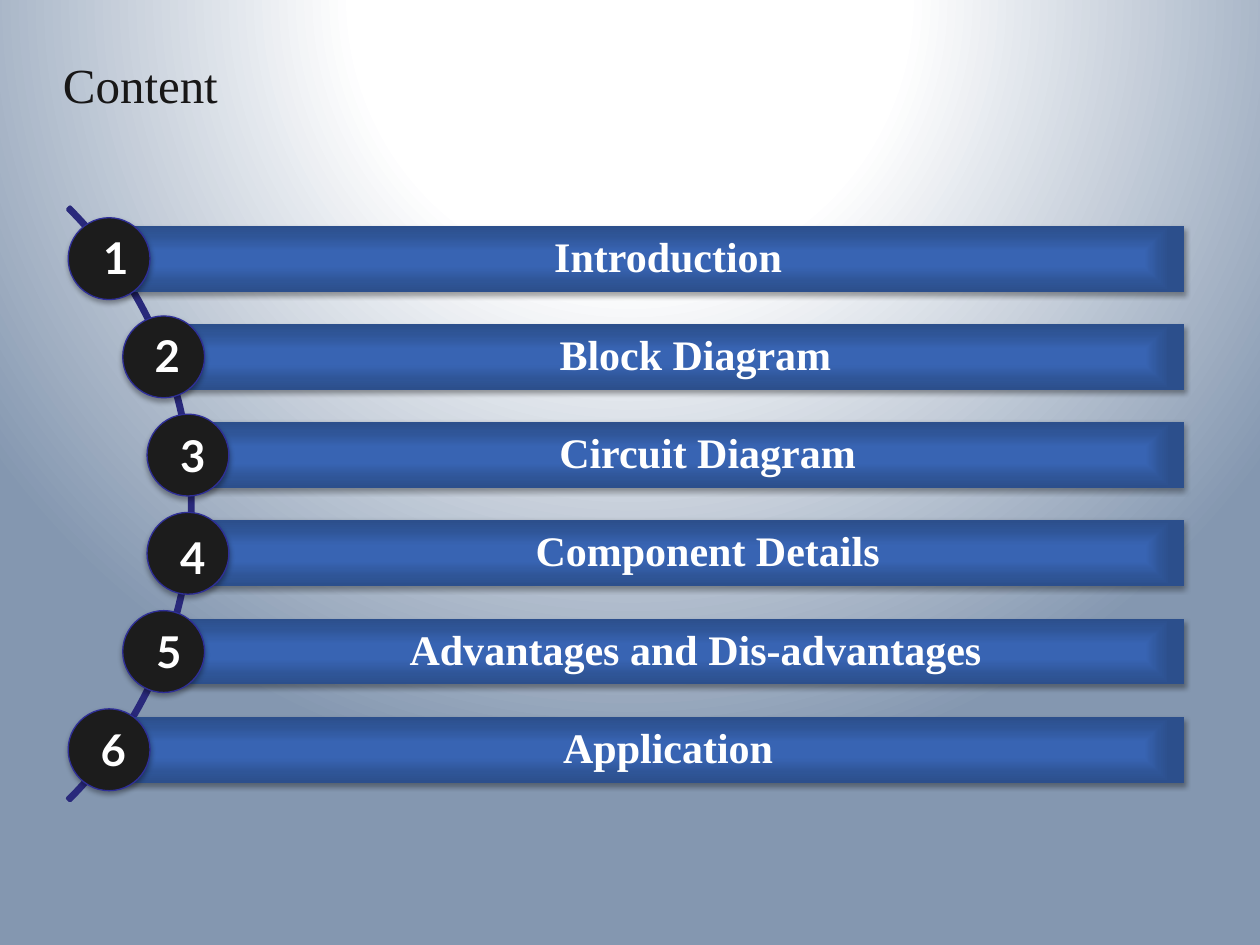
"""Build a contents slide with six numbered bars along an arc."""
from lxml import etree
from pptx import Presentation
from pptx.dml.color import RGBColor
from pptx.enum.shapes import MSO_SHAPE
from pptx.enum.text import MSO_ANCHOR, MSO_AUTO_SIZE, PP_ALIGN
from pptx.oxml import parse_xml
from pptx.oxml.ns import nsdecls, qn
from pptx.util import Cm, Pt

RECTANGLE, OVAL, BLOCK_ARC = MSO_SHAPE.RECTANGLE, MSO_SHAPE.OVAL, MSO_SHAPE.BLOCK_ARC
CENTER, LEFT, MIDDLE = PP_ALIGN.CENTER, PP_ALIGN.LEFT, MSO_ANCHOR.MIDDLE
GROW = MSO_AUTO_SIZE.SHAPE_TO_FIT_TEXT

COLORS = {
    "white": "FFFFFF", "slate": "8497B0", "navy": "002060", "arc_line": "29297B",
    "bar_light": "3864B3", "bar_middle": "2F5597", "bar_dark": "2C4F8C",
    "circle": "1C1C1C", "circle_line": "2F2F98", "title": "181717",
}
FORMATS = {
    "title": {"name": "Times New Roman", "size": Pt(28), "bold": False},
    "bar": {"name": "Times New Roman", "size": Pt(24), "bold": True},
    "number": {"name": "Lato", "size": Pt(25), "bold": True},
}
BAR_STOPS = [(0, "bar_light"), (23, "bar_light"), (69, "bar_middle"), (97, "bar_dark")]
CENTER_PATH = '<a:path path="{}"><a:fillToRect l="50000" t="{}" r="50000" b="{}"/></a:path>'
SHADOW = (
    f'<a:outerShdw {nsdecls("a")} blurRad="40000" dist="23000" dir="5400000" rotWithShape="0">'
    '<a:srgbClr val="000000"><a:alpha val="35000"/></a:srgbClr></a:outerShdw>'
)
TOPICS = [
    ("Introduction", 2.2, 1.83, 4.52),
    ("Block Diagram", 3.3, 2.87, 6.5),
    ("Circuit Diagram", 3.79, 3.38, 8.51),
    ("Component Details", 3.79, 3.38, 10.57),
    ("Advantages and Dis-advantages", 3.3, 2.9, 12.47),
    ("Application", 2.2, 1.78, 14.45),
]
BAR_TOP, BAR_STEP, BAR_HEIGHT, BAR_RIGHT = 4.55, 1.98, 1.33, 23.88
DIAMETER = 1.65


def set_gradient(fill, properties, stops, direction):
    fill.background()
    gradient = parse_xml(
        f'<a:gradFill {nsdecls("a")} rotWithShape="1"><a:gsLst/>{direction}</a:gradFill>'
    )
    for position, color in stops:
        stop = etree.SubElement(gradient[0], qn("a:gs"), pos=str(position * 1000))
        etree.SubElement(stop, qn("a:srgbClr"), val=COLORS[color])
    properties.replace(properties.find(qn("a:noFill")), gradient)


def write_text(shape, text, style, color, alignment):
    shape.text_frame.word_wrap = True
    paragraph = shape.text_frame.paragraphs[0]
    paragraph.alignment = alignment
    run = paragraph.add_run()
    run.text = text
    for attribute, value in FORMATS[style].items():
        setattr(run.font, attribute, value)
    run.font.color.rgb = RGBColor.from_string(COLORS[color])


presentation = Presentation()
presentation.slide_width, presentation.slide_height = Cm(25.4), Cm(19.05)
slide = presentation.slides.add_slide(presentation.slide_layouts[6])
shapes = slide.shapes

background_fill = slide.background.fill
set_gradient(
    background_fill,
    slide.element.find(".//" + qn("p:bgPr")),
    [(0, "white"), (35, "white"), (100, "slate")],
    CENTER_PATH.format("circle", -80000, 180000),
)

arc = shapes.add_shape(BLOCK_ARC, Cm(-13.03), Cm(1.7), Cm(16.92), Cm(16.92))
for index, adjustment in enumerate((189, 27, 0.004)):
    arc.adjustments[index] = adjustment
arc.shadow.inherit = False
set_gradient(
    arc.fill, arc.element.spPr, [(0, "navy"), (100, "slate")],
    '<a:lin ang="5400000" scaled="0"/>',
)
arc.line.color.rgb = RGBColor.from_string(COLORS["arc_line"])
arc.line.width = Pt(2)

for index, (topic, left, number_left, number_top) in enumerate(TOPICS):
    top = BAR_TOP + index * BAR_STEP
    bar = shapes.add_shape(RECTANGLE, Cm(left), Cm(top), Cm(BAR_RIGHT - left), Cm(BAR_HEIGHT))
    set_gradient(
        bar.fill, bar.element.spPr, BAR_STOPS, CENTER_PATH.format("shape", 50000, 50000)
    )
    bar.line.fill.background()
    insets = {"margin_left": 1.04, "margin_top": 0.18, "margin_right": 0.18, "margin_bottom": 0.18}
    for attribute, value in insets.items():
        setattr(bar.text_frame, attribute, Cm(value))
    bar.text_frame.vertical_anchor = MIDDLE
    write_text(bar, topic, "bar", "white", CENTER)
    bar.text_frame.paragraphs[0].line_spacing = 0.9

    circle = shapes.add_shape(
        OVAL, Cm(left - DIAMETER / 2), Cm(top + (BAR_HEIGHT - DIAMETER) / 2),
        Cm(DIAMETER), Cm(DIAMETER),
    )
    circle.fill.solid()
    circle.fill.fore_color.rgb = RGBColor.from_string(COLORS["circle"])
    circle.line.color.rgb = RGBColor.from_string(COLORS["circle_line"])
    circle.line.width = Pt(0.75)

    for shape in (bar, circle):
        shape.shadow.inherit = False
        shape.element.spPr.find(qn("a:effectLst")).append(parse_xml(SHADOW))

for number, (topic, left, number_left, number_top) in enumerate(TOPICS, 1):
    label = shapes.add_textbox(Cm(number_left), Cm(number_top), Cm(0.84), Cm(1.32))
    write_text(label, str(number), "number", "white", CENTER)
    label.text_frame.auto_size = GROW

title = shapes.add_textbox(Cm(1.02), Cm(0.97), Cm(22.86), Cm(1.47))
write_text(title, "Content", "title", "title", LEFT)

presentation.save("out.pptx")
